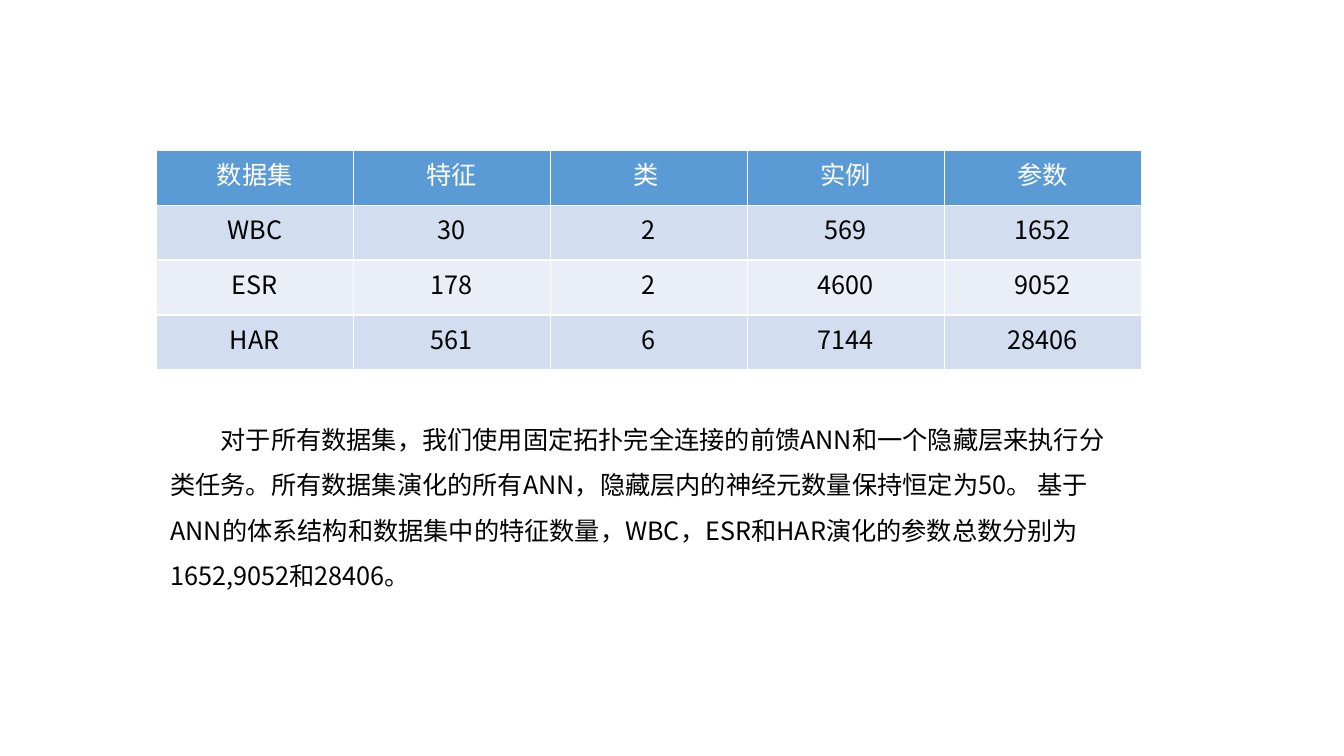
from lxml import etree
from pptx import Presentation
from pptx import util as u
from pptx.dml.color import RGBColor
from pptx.enum import text as t
from pptx.oxml.ns import qn

FACE = "Noto Sans CJK SC"
ROWS = [
    ("数据集", "特征", "类 ", "实例", "参数"),
    ("WBC", "30", "2", "569", "1652"),
    ("ESR", "178", "2", "4600", "9052"),
    ("HAR", "561", "6", "7144", "28406"),
]
NOTE = (
    "对于所有数据集，我们使用固定拓扑完全连接的前馈ANN和一个隐藏层来执行分类任务。"
    "所有数据集演化的所有ANN，隐藏层内的神经元数量保持恒定为50。 "
    "基于ANN的体系结构和数据集中的特征数量，WBC，ESR和HAR演化的参数总数分别为"
    "1652,9052和28406。"
)


def paint(color, code):
    color.rgb = RGBColor.from_string(code)


def style(para, code):
    for run in para.runs:
        run.font.size = u.Pt(18)
        run.font.bold = False
        paint(run.font.color, code)
        run.font.name = FACE
        east = etree.SubElement(run.font._element, qn("a:ea"))
        east.set("typeface", FACE)


def add_note(slide):
    box = slide.shapes.add_textbox(
        u.Inches(1.59), u.Inches(4.01), u.Inches(9.68), u.Inches(1.92))
    frame = box.text_frame
    frame.word_wrap = True
    frame.auto_size = t.MSO_AUTO_SIZE.SHAPE_TO_FIT_TEXT
    frame.text = NOTE
    para = frame.paragraphs[0]
    para.line_spacing = 1.5
    para._p.get_or_add_pPr().set("indent", str(u.Inches(0.5)))
    style(para, "000000")


def add_grid(slide):
    grid = slide.shapes.add_table(
        len(ROWS), len(ROWS[0]),
        u.Inches(1.55), u.Inches(1.49), u.Inches(9.77), u.Inches(2.18)).table
    for i, row in enumerate(ROWS):
        fill = "5B9BD5" if i == 0 else ("EAEFF7", "D2DEEF")[i % 2]
        for j, word in enumerate(row):
            cell = grid.cell(i, j)
            cell.fill.solid()
            paint(cell.fill.fore_color, fill)
            cell.text_frame.text = word
            para = cell.text_frame.paragraphs[0]
            para.alignment = t.PP_ALIGN.CENTER
            style(para, "000000" if i else "FFFFFF")


def main():
    deck = Presentation()
    deck.slide_width, deck.slide_height = u.Inches(13.33), u.Inches(7.5)
    slide = deck.slides.add_slide(deck.slide_layouts[6])
    add_note(slide)
    add_grid(slide)
    deck.save("out.pptx")


if __name__ == "__main__":
    main()
